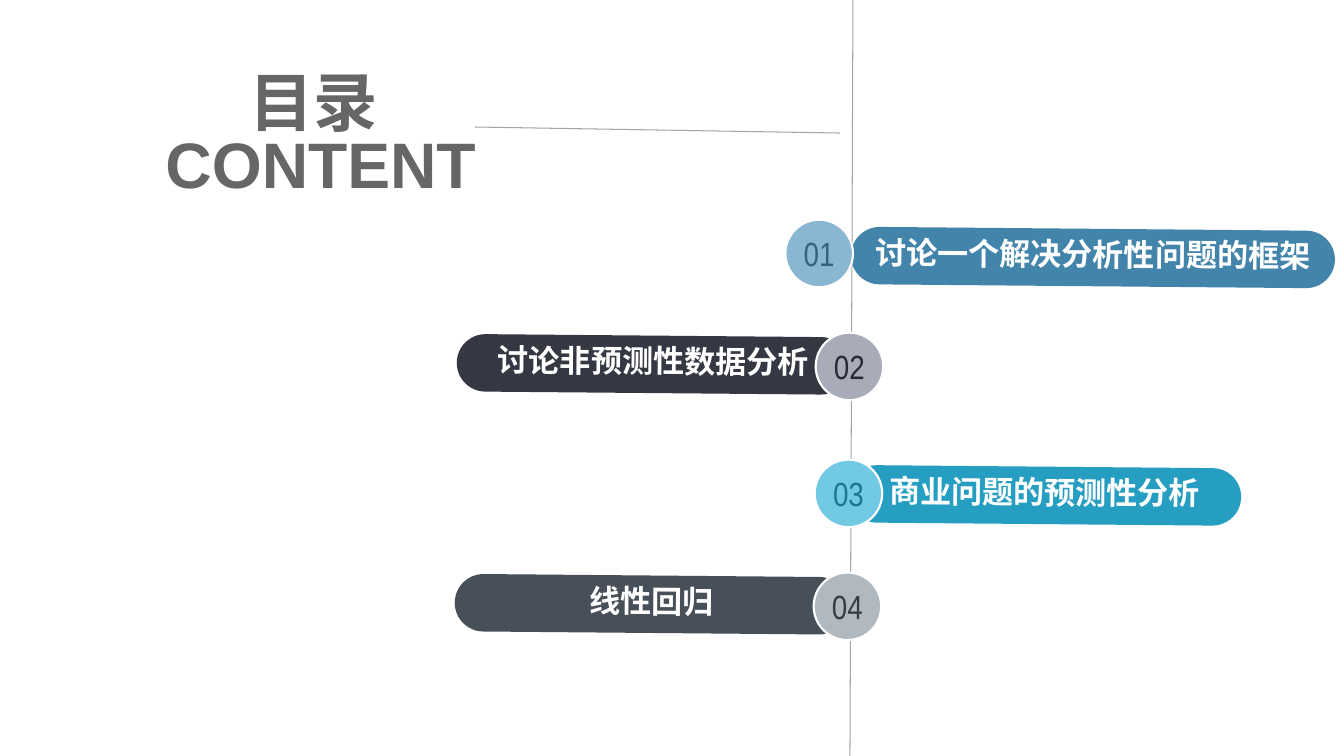
from lxml import etree
from pptx import Presentation
from pptx import util as u
from pptx.dml.color import RGBColor
from pptx.enum import shapes, text
from pptx.oxml.ns import qn

COLORS = {
    "rule": "A5A5A5", "title": "666666", "white": "FFFFFF",
    "blue": "4385AA", "blue_light": "89B6D0", "blue_dark": "32637F",
    "ink": "353842", "ink_light": "A8ABB8", "ink_dark": "272A31",
    "cyan": "259EC2", "cyan_light": "71C9E4", "cyan_dark": "1B7691",
    "slate": "475059", "slate_light": "B0B9C0", "slate_dark": "353C42",
}


class ContentSlide:
    """Holds the style and the slide being built."""
    font, number_font = "Arial", "Arial Narrow"
    tilt = 0.5
    pill_height, badge_size = 0.57, 0.67

    def __init__(self, slide):
        self.slide = slide

    def color(self, name):
        return RGBColor.from_string(COLORS[name])

    def format_text(self, frame, font, size, color, bold, spacing, anchor, insets=(0.1, 0.05)):
        side, edge = (u.Inches(inset) for inset in insets)
        frame.margin_left = frame.margin_right = side
        frame.margin_top = frame.margin_bottom = edge
        frame.word_wrap = True
        frame.auto_size = text.MSO_AUTO_SIZE.NONE
        frame.vertical_anchor = anchor
        paragraph = frame.paragraphs[0]
        paragraph.alignment = text.PP_ALIGN.CENTER
        paragraph.line_spacing = spacing
        paragraph.space_before = u.Pt(0)
        paragraph.font.name = font
        paragraph.font.size = u.Pt(size)
        paragraph.font.bold = bold
        paragraph.font.color.rgb = self.color(color)

    def title(self, words, left, top, width, height):
        title = self.slide.shapes.title
        title.left, title.top = u.Inches(left), u.Inches(top)
        title.width, title.height = u.Inches(width), u.Inches(height)
        title.text_frame.text = words
        self.format_text(title.text_frame, self.font, 45.9, "title", True, 0.8,
                         text.MSO_ANCHOR.TOP)

    def rule(self, x1, y1, x2, y2):
        rule = self.slide.shapes.add_connector(
            shapes.MSO_CONNECTOR.STRAIGHT, *map(u.Inches, (x1, y1, x2, y2)))
        rule.line.color.rgb = self.color("rule")
        rule.line.width = u.Pt(0.75)
        etree.SubElement(rule._element.spPr, qn("a:effectLst"))

    def tilted(self, kind, left, top, width, height, fill):
        shape = self.slide.shapes.add_shape(
            kind, *map(u.Inches, (left, top, width, height)))
        shape.rotation = self.tilt
        shape.shadow.inherit = False
        shape.fill.solid()
        shape.fill.fore_color.rgb = self.color(fill)
        return shape

    def pill(self, words, left, top, width, hue):
        pill = self.tilted(shapes.MSO_SHAPE.ROUNDED_RECTANGLE, left, top, width,
                           self.pill_height, hue)
        pill.adjustments[0] = 0.5
        pill.line.fill.background()
        pill.text_frame.text = words
        self.format_text(pill.text_frame, self.font, 22.2, "white", True, 0.8,
                         text.MSO_ANCHOR.MIDDLE)

    def badge(self, number, left, top, hue):
        badge = self.tilted(shapes.MSO_SHAPE.OVAL, left, top, self.badge_size,
                            self.badge_size, f"{hue}_light")
        badge.line.color.rgb = self.color("white")
        badge.line.width = u.Pt(1.5)
        badge.text_frame.text = f"{number:02d}"
        self.format_text(badge.text_frame, self.number_font, 24, f"{hue}_dark", False, 1.0,
                         text.MSO_ANCHOR.MIDDLE, insets=(0, 0))


def main():
    deck = Presentation()
    deck.slide_width, deck.slide_height = u.Inches(13.33), u.Inches(7.5)
    content = ContentSlide(deck.slides.add_slide(deck.slide_layouts[5]))

    # Heading with its rule, and the timeline axis
    content.title("目录 \vCONTENT", 1.29, 0.72, 3.78, 1.41)
    content.rule(8.46, 0, 8.43, 7.5)
    content.rule(4.71, 1.26, 8.33, 1.32)

    # Topics: words, hue, pill left, top and width, badge left and top
    topics = [
        ("讨论一个解决分析性问题的框架", "blue", 8.44, 2.27, 4.8, 7.79, 2.18),
        ("讨论非预测性数据分析", "ink", 4.53, 3.33, 3.9, 8.09, 3.3),
        ("商业问题的预测性分析", "cyan", 8.41, 4.63, 3.9, 8.08, 4.56),
        ("线性回归", "slate", 4.51, 5.71, 3.9, 8.07, 5.68),
    ]
    for number, topic in enumerate(topics, 1):
        words, hue, left, top, width, badge_left, badge_top = topic
        content.pill(words, left, top, width, hue)
        content.badge(number, badge_left, badge_top, hue)

    deck.save("out.pptx")


if __name__ == "__main__":
    main()
